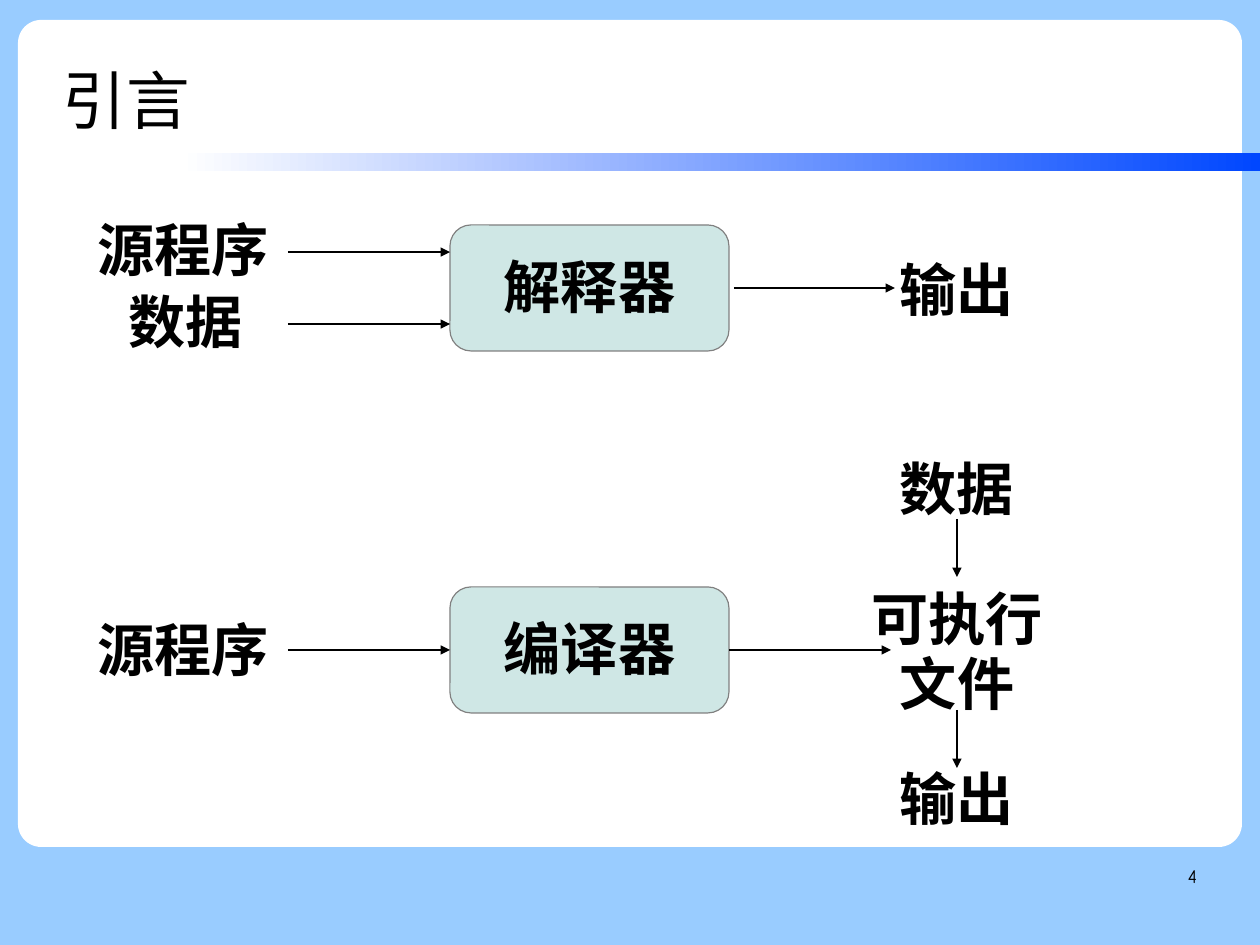
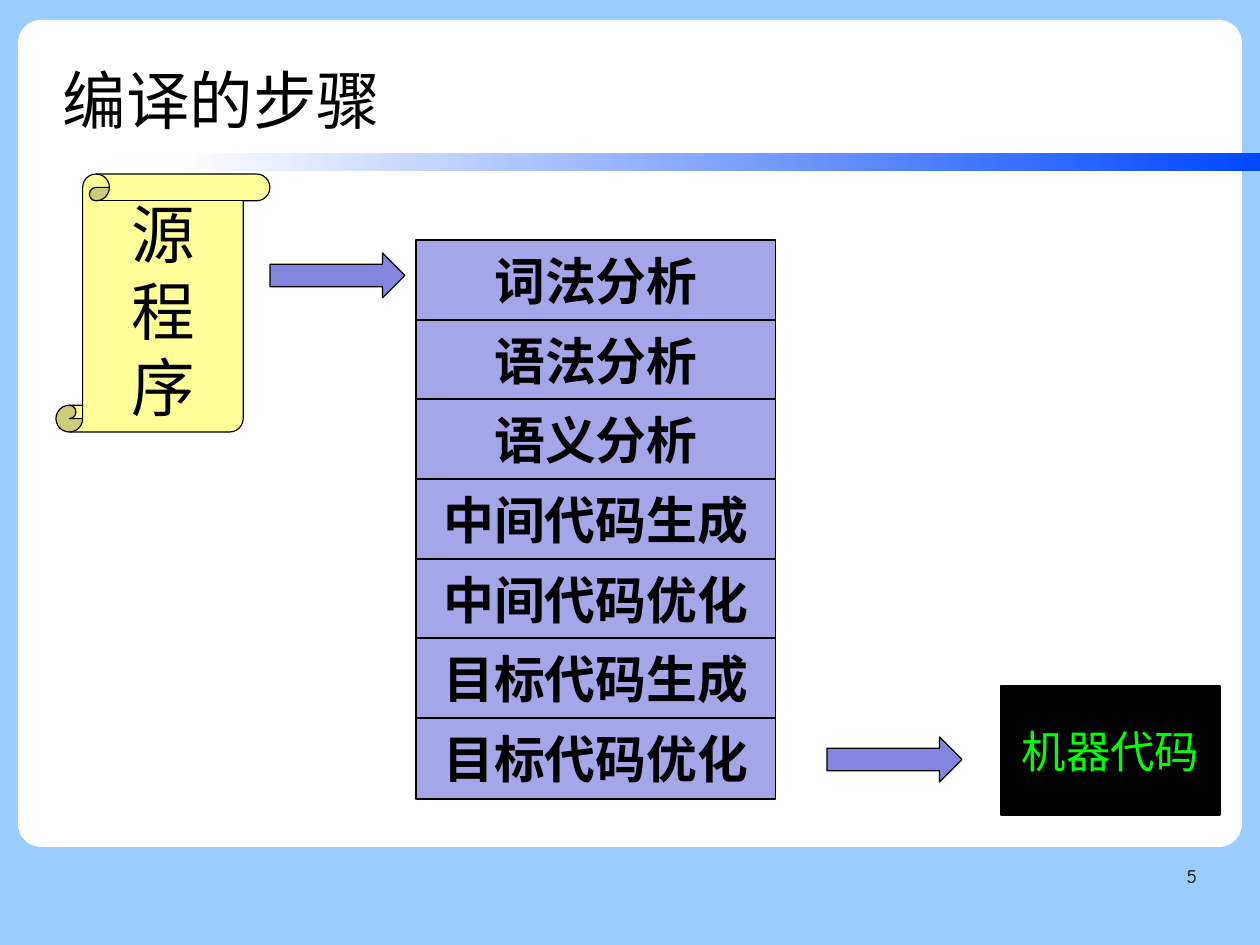
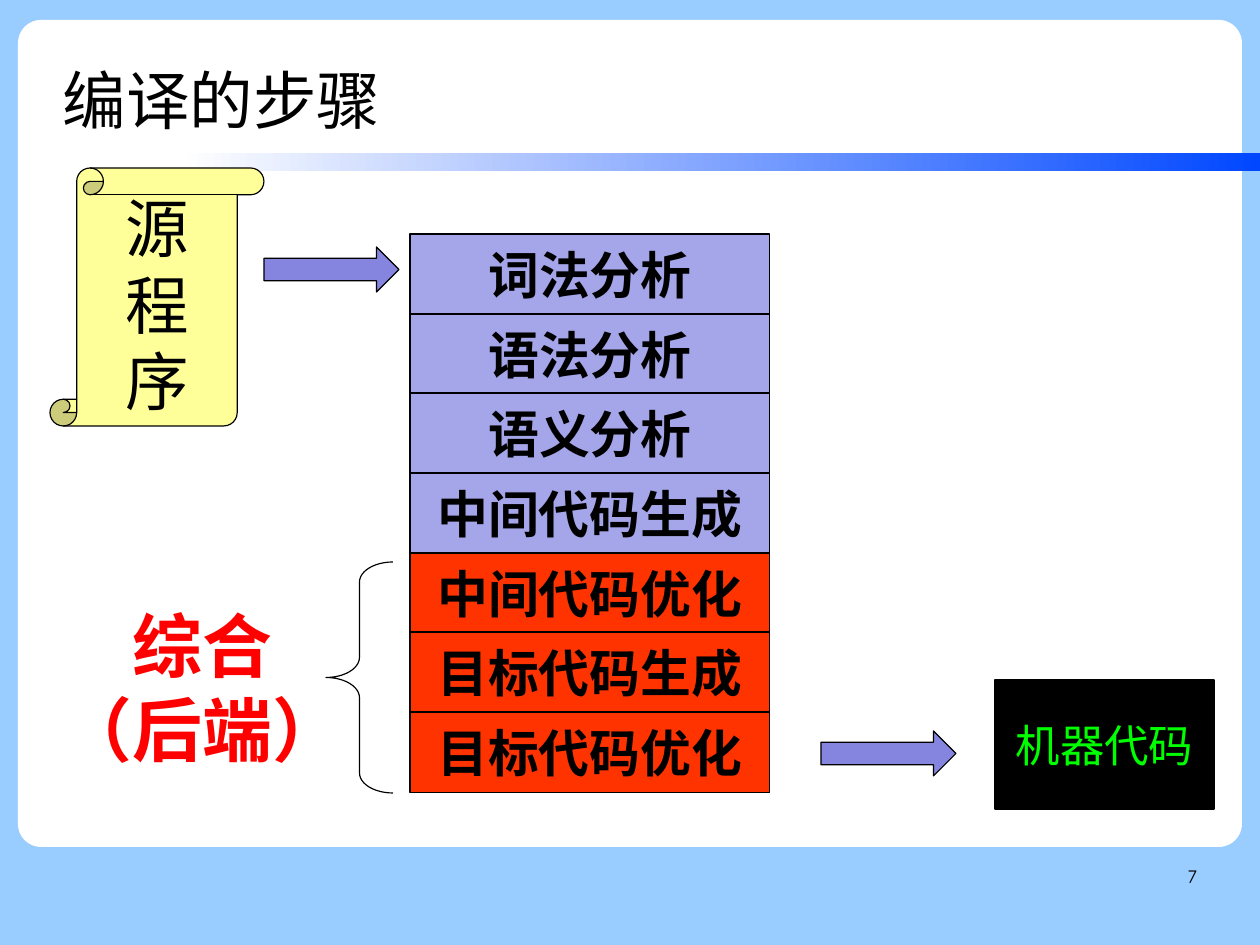
"""Build three slides on interpreters, compilers and the steps of compilation."""
from lxml import etree
from pptx import Presentation
from pptx.dml.color import RGBColor
from pptx.enum.shapes import MSO_CONNECTOR, MSO_SHAPE
from pptx.enum.text import MSO_ANCHOR, MSO_AUTO_SIZE, PP_ALIGN
from pptx.oxml.ns import qn
from pptx.util import Pt

PX = 8000
WIDTH, HEIGHT = 1260, 945
TITLE_ONLY = 5
TOP_SIDE, LEFT_SIDE, BOTTOM_SIDE, RIGHT_SIDE = range(4)
CENTER, LEFT, RIGHT = PP_ALIGN.CENTER, PP_ALIGN.LEFT, PP_ALIGN.RIGHT
MIDDLE, TOP = MSO_ANCHOR.MIDDLE, MSO_ANCHOR.TOP
RECTANGLE, ROUNDED = MSO_SHAPE.RECTANGLE, MSO_SHAPE.ROUNDED_RECTANGLE
NODE = MSO_SHAPE.FLOWCHART_ALTERNATE_PROCESS
SCROLL, ARROW = MSO_SHAPE.VERTICAL_SCROLL, MSO_SHAPE.RIGHT_ARROW
BRACE = MSO_SHAPE.LEFT_BRACE
STRAIGHT = MSO_CONNECTOR.STRAIGHT

HAN, TITLE_FONT, NUMBER_FONT = "Noto Sans CJK SC", "Arial", "Comic Neue"
COLORS = {
    "background": "99CCFF",
    "card": "FFFFFF",
    "band": "0047FF",
    "ink": "000000",
    "node": "CFE7E5",
    "node_line": "808080",
    "step": "A5A5E9",
    "back_end": "FF3300",
    "arrow": "8585E0",
    "scroll": "FFFF99",
    "machine_text": "00FF00",
    "label": "FF0000",
}
STEPS = ["词法分析", "语法分析", "语义分析", "中间代码生成",
         "中间代码优化", "目标代码生成", "目标代码优化"]
BACK_END_START = 4
DIAGRAM_INSETS = (11, 8, 11, 6)
DEFAULT_INSETS = (11, 6, 11, 6)
NO_INSETS = (0, 0, 0, 0)


def color(name):
    """Return the named colour."""
    return RGBColor.from_string(COLORS[name])


def scaled(*lengths):
    """Turn px into EMU."""
    return [length * PX for length in lengths]


def write(shape, text, size, font=HAN, ink="ink", bold=False, align=CENTER,
          anchor=MIDDLE, insets=DEFAULT_INSETS, spacing=1.0, wrap=True):
    """Fill a shape with evenly formatted paragraphs, one for each line."""
    frame = shape.text_frame
    frame.text = text
    frame.word_wrap = wrap
    frame.auto_size = MSO_AUTO_SIZE.NONE
    frame.vertical_anchor = anchor
    (frame.margin_left, frame.margin_top,
     frame.margin_right, frame.margin_bottom) = scaled(*insets)
    for paragraph in frame.paragraphs:
        paragraph.alignment = align
        paragraph.line_spacing = spacing
        paragraph.font.size = Pt(size)
        paragraph.font.bold = bold
        paragraph.font.color.rgb = color(ink)
        paragraph.font.name = font
        properties = paragraph.font._element
        etree.SubElement(properties, qn("a:ea")).set("typeface", HAN)


def add_shape(slide, kind, box, fill=None, line="ink"):
    """Add a flat preset shape with a thin outline."""
    shape = slide.shapes.add_shape(kind, *scaled(*box))
    shape.shadow.inherit = False
    if fill:
        shape.fill.solid()
        shape.fill.fore_color.rgb = color(fill)
    else:
        shape.fill.background()
    if line:
        shape.line.color.rgb = color(line)
        shape.line.width = Pt(0.75)
    else:
        shape.line.fill.background()
    return shape


def add_text(slide, box, text, size, **style):
    """Add a text box."""
    write(slide.shapes.add_textbox(*scaled(*box)), text, size, **style)


def add_arrow(slide, start, end):
    """Add a thin line with an arrowhead at its end."""
    connector = slide.shapes.add_connector(STRAIGHT, *scaled(*start, *end))
    connector.line.color.rgb = color("ink")
    connector.line.width = Pt(0.75)
    properties = connector._element.spPr
    outline = properties.find(qn("a:ln"))
    etree.SubElement(outline, qn("a:tailEnd")).set("type", "triangle")
    etree.SubElement(properties, qn("a:effectLst"))
    return connector


def decorate_master(presentation, slide):
    """Give the master its background, white card and gradient band."""
    master = presentation.slide_master
    master.background.fill.solid()
    master.background.fill.fore_color.rgb = color("background")
    card = add_shape(slide, ROUNDED, (18, 20, 1224, 827), "card", None)
    card.adjustments[0] = 0.028
    band = add_shape(slide, RECTANGLE, (180, 153, 1080, 18), "band", None)
    band.fill.gradient()
    band.fill.gradient_angle = 0
    for stop, name, position in zip(band.fill.gradient_stops, ("card", "band"), (0, 1)):
        stop.color.rgb = color(name)
        stop.position = position
    for index, shape in enumerate((card, band)):
        shape._element.nvSpPr.cNvPr.set("id", str(101 + index))
        master.shapes._spTree.insert(2 + index, shape._element)


def add_slide(presentation, title, number):
    """Add a slide with its title and page number."""
    slide = presentation.slides.add_slide(presentation.slide_layouts[TITLE_ONLY])
    placeholder = slide.shapes.title
    (placeholder.left, placeholder.top,
     placeholder.width, placeholder.height) = scaled(63, 38, 981, 115)
    write(placeholder, title, 40, font=TITLE_FONT, align=LEFT,
          insets=NO_INSETS, spacing=1.1)
    add_text(slide, (903, 861, 294, 65), str(number), 12, font=NUMBER_FONT,
             align=RIGHT, anchor=TOP, insets=NO_INSETS, spacing=1.16)
    return slide


def add_label(slide, left, top, text, width=137, height=77):
    """Add a bold diagram label."""
    add_text(slide, (left, top, width, height), text, 36, bold=True, anchor=TOP,
             insets=DIAGRAM_INSETS, spacing=0.95, wrap=False)


def add_node(slide, left, top, text):
    """Add a rounded diagram node."""
    node = add_shape(slide, NODE, (left, top, 279, 126), "node", "node_line")
    write(node, text, 36, bold=True, insets=DIAGRAM_INSETS, spacing=0.95, wrap=False)
    return node


def draw_interpreter(slide, left, top):
    """Draw the interpreter flow from a top left corner."""
    add_node(slide, left + 364, top + 14, "解释器")
    add_label(slide, left, top, "源程序", 194)
    add_label(slide, left + 31, top + 72, "数据")
    add_label(slide, left + 802, top + 40, "输出")
    for start, end, y in ((202, 364, 41), (202, 364, 113), (648, 809, 77)):
        add_arrow(slide, (left + start, top + y), (left + end, top + y))


def draw_compiler(slide, left, top):
    """Draw the compiler flow from a top left corner."""
    node = add_node(slide, left + 364, top + 137, "编译器")
    add_label(slide, left, top + 161, "源程序", 194)
    add_label(slide, left + 802, top, "数据")
    add_label(slide, left + 774, top + 130, "可执行\n文件", 194, 142)
    add_label(slide, left + 802, top + 310, "输出")
    middle = top + 200
    incoming = add_arrow(slide, (left + 202, middle), (left + 364, middle))
    incoming.end_connect(node, LEFT_SIDE)
    outgoing = add_arrow(slide, (left + 643, middle), (left + 805, middle))
    outgoing.begin_connect(node, RIGHT_SIDE)
    for start in (69, 260):
        add_arrow(slide, (left + 871, top + start), (left + 871, top + start + 58))


def draw_steps(slide, left, top, mark_back_end=False):
    """Draw the compilation steps from source scroll to machine code."""
    for index, step in enumerate(STEPS):
        marked = mark_back_end and index >= BACK_END_START
        box = (left + 360, top + 66 + round(index * 478 / 6), 360, 81)
        row = add_shape(slide, RECTANGLE, box, "back_end" if marked else "step")
        write(row, step, 32, bold=True)
    scroll = add_shape(slide, SCROLL, (left, top, 214, 258), "scroll")
    write(scroll, "源\n程\n序", 40)
    for x, y in ((214, 79), (771, 563)):
        add_shape(slide, ARROW, (left + x, top + y, 135, 45), "arrow")
    machine = add_shape(slide, RECTANGLE, (left + 945, top + 512, 219, 129), "ink")
    write(machine, "机器代码", 28, ink="machine_text")


def draw_back_end_label(slide, left, top):
    """Draw the back-end label and its brace from a top left corner."""
    add_text(slide, (left, top + 35, 337, 169), "综合\n（后端）", 44,
             ink="label", bold=True, anchor=TOP)
    brace = add_shape(slide, BRACE, (left + 292, top, 67, 231))
    brace.adjustments[0] = 0.3


def main():
    """Build and save the presentation."""
    presentation = Presentation()
    presentation.slide_width, presentation.slide_height = scaled(WIDTH, HEIGHT)

    introduction = add_slide(presentation, "引言", 4)
    decorate_master(presentation, introduction)
    draw_interpreter(introduction, 86, 211)
    draw_compiler(introduction, 86, 450)

    steps = add_slide(presentation, "编译的步骤", 5)
    draw_steps(steps, 56, 174)

    back_end = add_slide(presentation, "编译的步骤", 7)
    draw_steps(back_end, 50, 168, mark_back_end=True)
    draw_back_end_label(back_end, 34, 562)

    presentation.save("out.pptx")


if __name__ == "__main__":
    main()
